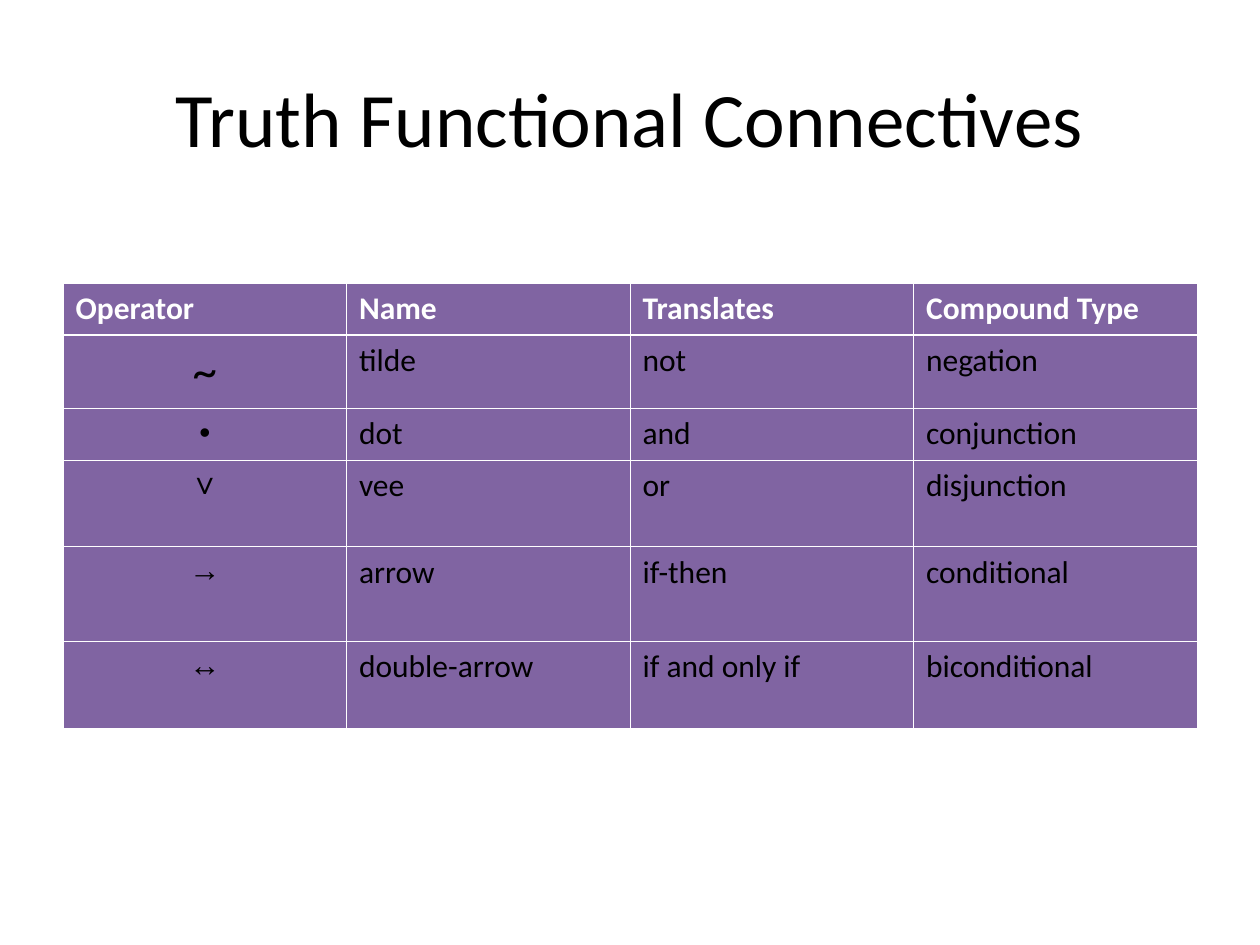
import pptx
import pptx.dml.color
import pptx.enum.text
import pptx.oxml.ns
import pptx.util
from lxml import etree

Inches, Pt = pptx.util.Inches, pptx.util.Pt
RGB = pptx.dml.color.RGBColor.from_string
CENTER = pptx.enum.text.PP_ALIGN.CENTER
MIDDLE = pptx.enum.text.MSO_ANCHOR.MIDDLE
qn = pptx.oxml.ns.qn

COLORS = {"purple": "8064A2", "white": "FFFFFF", "black": "000000"}


def set_font(p, size, color, name="Calibri", bold=False):
    p.font.size = Pt(size)
    p.font.name = name
    p.font.bold = bold
    p.font.color.rgb = RGB(COLORS[color])


def add_border(cell, side, width):
    ln = etree.SubElement(cell._tc.get_or_add_tcPr(), qn("a:" + side), w=str(Pt(width)))
    fill = etree.SubElement(ln, qn("a:solidFill"))
    etree.SubElement(fill, qn("a:srgbClr"), val=COLORS["white"])


prs = pptx.Presentation()
prs.slide_width, prs.slide_height = Inches(10), Inches(7.5)
s = prs.slides.add_slide(prs.slide_layouts[6])

# Table of connectives
rows = [
    ("Operator", "Name", "Translates", "Compound Type"),
    ("~", "tilde", "not", "negation"),
    ("•", "dot", "and", "conjunction"),
    ("∨", "vee", "or", "disjunction"),
    ("→", "arrow", "if-then", "conditional"),
    ("↔", "double-arrow", "if and only if", "biconditional"),
]
heights = [0.41, 0.58, 0.41, 0.69, 0.75, 0.69]
table = s.shapes.add_table(len(rows), 4, Inches(0.5), Inches(2.25),
                           Inches(9), Inches(sum(heights))).table
table.horz_banding = False
for i, (row, height) in enumerate(zip(rows, heights)):
    table.rows[i].height = Inches(height)
    for j, text in enumerate(row):
        cell = table.cell(i, j)
        # Thin white grid, with a heavier rule under the header
        add_border(cell, "lnL", 0.45)
        add_border(cell, "lnR", 0.45)
        add_border(cell, "lnT", 1.47 if i == 1 else 0.45)
        add_border(cell, "lnB", 1.47 if i == 0 else 0.45)
        cell.fill.solid()
        cell.fill.fore_color.rgb = RGB(COLORS["purple"])
        cell.text = text
        p = cell.text_frame.paragraphs[0]
        if i == 0:
            set_font(p, 18, "white", bold=True)
        elif j > 0:
            set_font(p, 18, "black")
        else:
            p.alignment = CENTER
            if text == "~":
                set_font(p, 28, "black")
            else:
                set_font(p, 18, "black", "Arial")

# Title
sp = s.shapes.add_textbox(Inches(0.5), Inches(0.3), Inches(9), Inches(1.25))
tf = sp.text_frame
tf.word_wrap = True
tf.vertical_anchor = MIDDLE
p = tf.paragraphs[0]
p.text = "Truth Functional Connectives"
p.alignment = CENTER
set_font(p, 44, "black")

prs.save("out.pptx")
